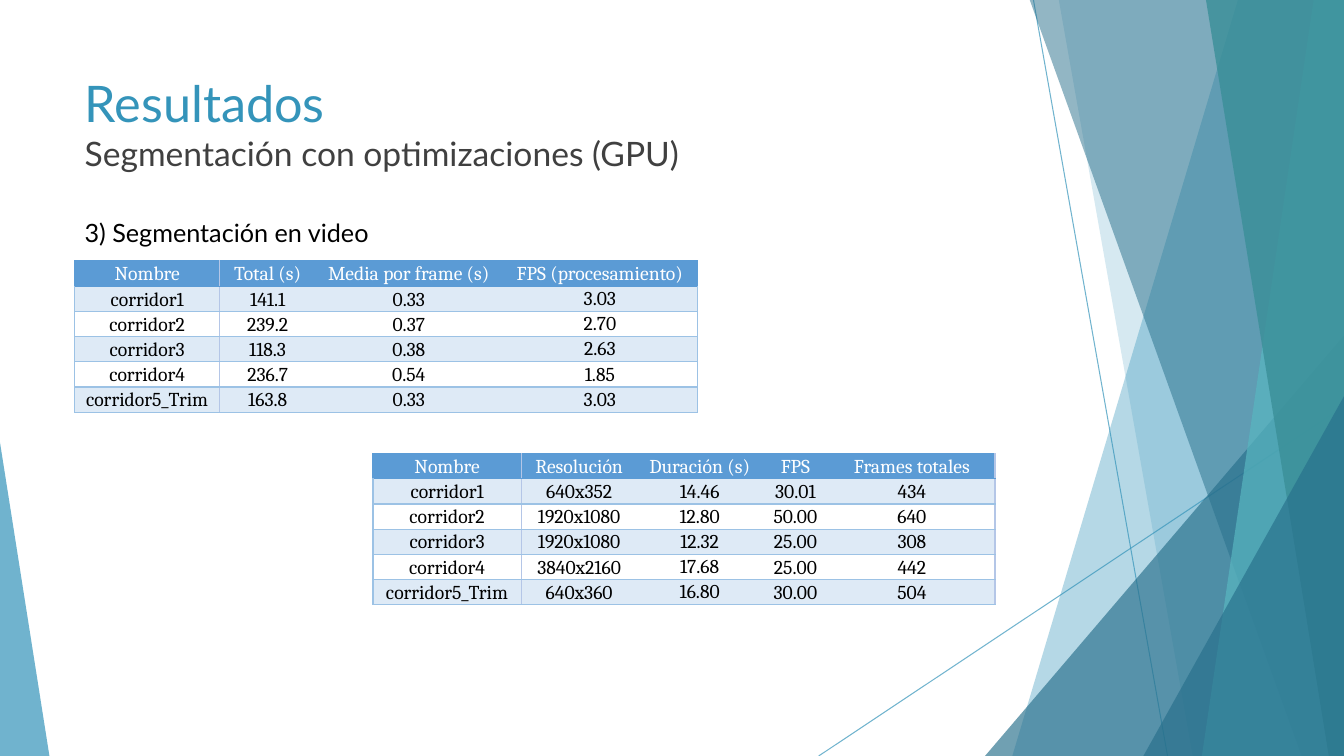
from pptx import Presentation
from pptx.dml.color import RGBColor
from pptx.enum.shapes import MSO_CONNECTOR, MSO_SHAPE
from pptx.enum.text import MSO_ANCHOR, MSO_AUTO_SIZE, PP_ALIGN
from pptx.oxml.ns import qn
from pptx.util import Inches, Pt
from lxml.etree import SubElement

HUES = {
    "blue": "3494BA", "deep": "276F8B", "aqua": "58B6C0", "teal": "3A8F98",
    "gray": "404040", "black": "000000", "white": "FFFFFF",
    "head": "5B9BD5", "band": "DEEAF6", "rule": "9CC2E5", "side": "B4C6E7",
}
WIDE, HIGH = 13.33, 7.5


def tint(part, hue, fade):
    part.rgb = RGBColor.from_string(HUES[hue])
    return lambda shape: [
        SubElement(tone, qn("a:alpha"), val=str(fade * 1000))
        for tone in shape.element.iter(qn("a:srgbClr"))
    ]


def edge(cell, tag, hue):
    line = SubElement(cell._tc.get_or_add_tcPr(), qn(tag), w=str(Pt(1)))
    if hue:
        fill = SubElement(line, qn("a:solidFill"))
        SubElement(fill, qn("a:srgbClr"), val=HUES[hue])
    else:
        SubElement(line, qn("a:noFill"))


deck = Presentation()
deck.slide_width, deck.slide_height = Inches(WIDE), Inches(HIGH)
slide = deck.slides.add_slide(deck.slide_layouts[5])
shapes = slide.shapes

for ends in [(10.25, 0, 11.58, HIGH), (WIDE, 4.03, 8.12, HIGH)]:
    ray = shapes.add_connector(MSO_CONNECTOR.STRAIGHT, *map(Inches, ends))
    ray.line.width = Pt(0.75)
    tint(ray.line.color, "blue", 70)(ray)
    SubElement(ray.element.spPr, qn("a:effectLst"))

facets = [
    ("slab", (12.28, 10.04), "blue", 36),
    ("slab", (10.5, 11.83), "blue", 20),
    ("peak", (9.77, 3.33, 3.56, 4.17, 1), "deep", 66),
    ("slab", (10.21, 12.91), "deep", 50),
    ("slab", (13.03, 11.92), "aqua", 70),
    ("slab", (11.96, 13.18), "teal", 80),
    ("peak", (11.34, 3.93, 1.99, 3.57, 1), "deep", 66),
    ("peak", (0, 4.39, 0.49, 3.11, 0), "blue", 70),
]
for kind, data, hue, fade in facets:
    if kind == "slab":
        top, base = data
        pen = shapes.build_freeform(Inches(top), Inches(-0.01))
        spots = [(WIDE, -0.01), (WIDE, HIGH), (base, HIGH)]
        pen.add_line_segments([(Inches(x), Inches(y)) for x, y in spots])
        facet = pen.convert_to_shape()
    else:
        *box, tip = data
        facet = shapes.add_shape(MSO_SHAPE.ISOSCELES_TRIANGLE, *map(Inches, box))
        facet.adjustments[0] = tip
    facet.shadow.inherit = False
    facet.line.fill.background()
    facet.fill.solid()
    tint(facet.fill.fore_color, hue, fade)(facet)

title = shapes.title
title.element.getparent().append(title.element)
title.left, title.top = Inches(0.74), Inches(0.67)
title.width, title.height = Inches(9.4), Inches(1.44)
frame = title.text_frame
frame.word_wrap = True
frame.auto_size = MSO_AUTO_SIZE.NONE
frame.vertical_anchor = MSO_ANCHOR.TOP
para = frame.paragraphs[0]
para.alignment = PP_ALIGN.LEFT
para.font.name = "Lato"
lines = [("Resultados", 36, "blue"),
         ("Segmentación con optimizaciones (GPU)", 24, "gray")]
for rank, (words, size, hue) in enumerate(lines):
    if rank:
        para.add_line_break()
    run = para.add_run()
    run.text = words
    run.font.name = "Lato"
    run.font.size = Pt(size)
    run.font.color.rgb = RGBColor.from_string(HUES[hue])

label = shapes.add_textbox(Inches(0.74), Inches(2.11), Inches(6.05), Inches(0.4))
frame = label.text_frame
frame.word_wrap = True
frame.auto_size = MSO_AUTO_SIZE.SHAPE_TO_FIT_TEXT
para = frame.paragraphs[0]
para.text = "3) Segmentación en video"
para.font.name = "Lato"
para.font.size = Pt(18)
para.font.color.rgb = RGBColor.from_string(HUES["black"])

times = [
    ("Nombre", "Total (s)", "Media por frame (s)", "FPS (procesamiento)"),
    ("corridor1", "141.1", "0.33", "3.03"),
    ("corridor2", "239.2", "0.37", "2.70"),
    ("corridor3", "118.3", "0.38", "2.63"),
    ("corridor4", "236.7", "0.54", "1.85"),
    ("corridor5_Trim", "163.8", "0.33", "3.03"),
]
clips = [
    ("Nombre", "Resolución", "Duración (s)", "FPS", "Frames totales"),
    ("corridor1", "640x352", "14.46", "30.01", "434"),
    ("corridor2", "1920x1080", "12.80", "50.00", "640"),
    ("corridor3", "1920x1080", "12.32", "25.00", "308"),
    ("corridor4", "3840x2160", "17.68", "25.00", "442"),
    ("corridor5_Trim", "640x360", "16.80", "30.00", "504"),
]
grids = [
    (times, 0.74, 2.59, (1.44, 0.95, 1.85, 1.94), None,
     {(row, 3) for row in range(6)}),
    (clips, 3.7, 4.5, (1.47, 1.15, 1.24, 0.66, 1.65), "side", {(4, 2), (5, 2)}),
]
for rows, left, top, widths, rim, high in grids:
    last = len(widths) - 1
    table = shapes.add_table(len(rows), len(widths), Inches(left), Inches(top),
                             Inches(sum(widths)), Inches(1.42)).table
    table.first_row = table.horz_banding = False
    for col, width in enumerate(widths):
        table.columns[col].width = Inches(width)
    for row, texts in enumerate(rows):
        main = "rule" if row else "head"
        for col, words in enumerate(texts):
            cell = table.cell(row, col)
            edge(cell, "a:lnL", {0: main, 1: "side"}.get(col))
            edge(cell, "a:lnR", {0: "side", last: rim or main}.get(col))
            edge(cell, "a:lnT", "head" if row < 2 else "rule")
            edge(cell, "a:lnB", main)
            if row and row % 2 == 0:
                cell.fill.background()
            else:
                cell.fill.solid()
                tone = "band" if row else "head"
                cell.fill.fore_color.rgb = RGBColor.from_string(HUES[tone])
            cell.margin_left = cell.margin_right = Inches(0.07)
            cell.margin_top = cell.margin_bottom = 0
            flush = (row, col) in high
            cell.vertical_anchor = MSO_ANCHOR.TOP if flush else MSO_ANCHOR.MIDDLE
            para = cell.text_frame.paragraphs[0]
            para.text = words
            para.alignment = PP_ALIGN.CENTER
            para.line_spacing = 1.07
            para.space_after = Pt(8)
            para.font.name = "Cambria"
            para.font.size = Pt(14)
            ink = "black" if row else "white"
            para.font.color.rgb = RGBColor.from_string(HUES[ink])

deck.save("out.pptx")
